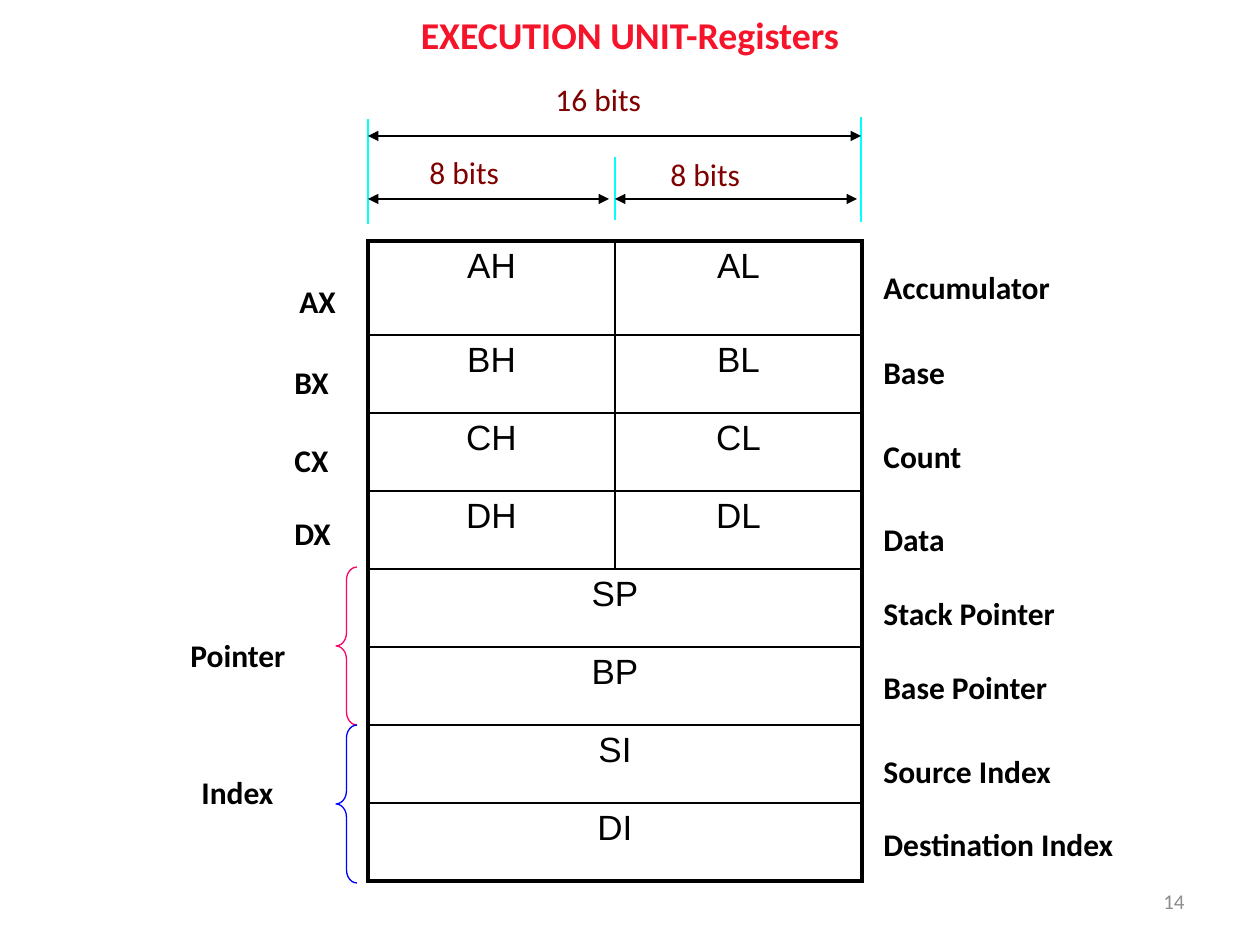
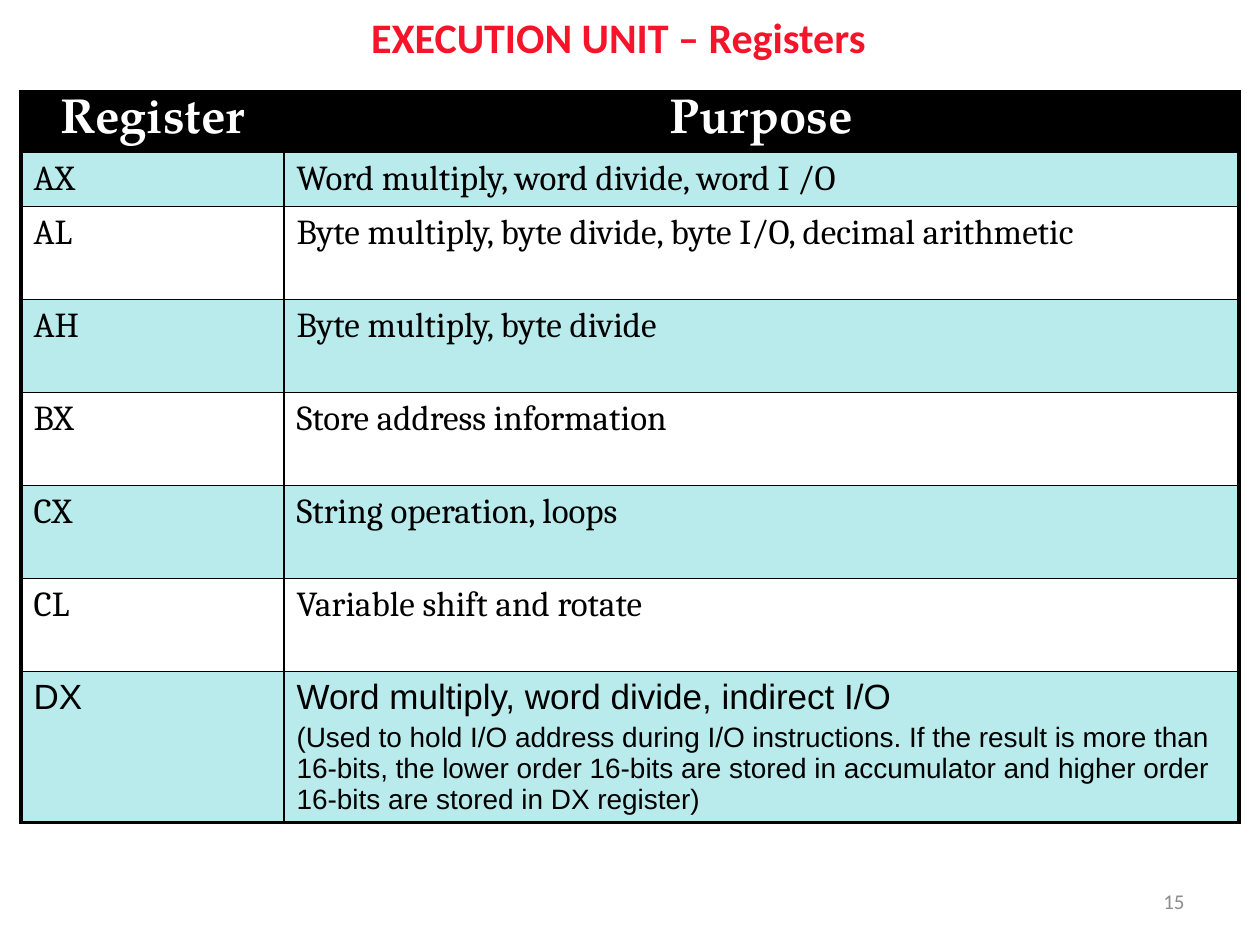
from dataclasses import dataclass

from lxml import etree
from pptx import Presentation
from pptx.dml.color import RGBColor
from pptx.enum.shapes import MSO_CONNECTOR, MSO_SHAPE
from pptx.enum.text import MSO_ANCHOR, PP_ALIGN
from pptx.oxml.ns import qn
from pptx.util import Emu, Pt

EMU_PER_PX = 914400 / 126
TITLE_ONLY = 5
LEFT, CENTER, RIGHT = PP_ALIGN.LEFT, PP_ALIGN.CENTER, PP_ALIGN.RIGHT
TOP, MIDDLE = MSO_ANCHOR.TOP, MSO_ANCHOR.MIDDLE
STRAIGHT = MSO_CONNECTOR.STRAIGHT
LEFT_BRACE = MSO_SHAPE.LEFT_BRACE


@dataclass(frozen=True)
class TextStyle:
    font: str
    size: float
    color: str = "000000"
    bold: bool = False


@dataclass(frozen=True)
class Theme:
    black: str = "000000"
    white: str = "FFFFFF"
    band: str = "B9EBED"
    guide: str = "00FFFF"
    pointer: str = "FF0066"
    index: str = "0000FF"
    title_shadow: str = "EEECE1"
    line: float = 0.75
    inner_border: float = 1
    outer_border: float = 2.25
    diagram_title: TextStyle = TextStyle("Calibri", 21.6, "F6142A", True)
    table_title: TextStyle = TextStyle("Calibri", 24, "F6142A", True)
    label: TextStyle = TextStyle("Calibri", 18, bold=True)
    bits: TextStyle = TextStyle("Calibri", 18, "800000")
    number: TextStyle = TextStyle("Calibri", 12, "8C8C8C")
    register: TextStyle = TextStyle("Arial", 20)
    header: TextStyle = TextStyle("TeX Gyre Pagella", 28, "FFFFFF", True)
    body: TextStyle = TextStyle("Cambria", 20)
    note: TextStyle = TextStyle("Arial", 16)


THEME = Theme()

REGISTER_ROWS = [("AH", "AL"), ("BH", "BL"), ("CH", "CL"), ("DH", "DL"),
                 ("SP",), ("BP",), ("SI",), ("DI",)]
GROUP_LABELS = [("AX", 287, 276), ("BX", 282, 357), ("CX", 282, 435), ("DX", 282, 508),
                ("Pointer", 178, 630), ("Index", 189, 767)]
REGISTER_NAMES = [("Accumulator", 262), ("Base", 347), ("Count", 431), ("Data", 514),
                  ("Stack Pointer", 588), ("Base Pointer", 662),
                  ("Source Index", 746), ("Destination Index", 819)]
BIT_WIDTHS = [("16 bits", 543, 74), ("8 bits", 417, 147), ("8 bits", 658, 149)]
GUIDES = [(368, 119, 224), (615, 157, 220), (861, 117, 222)]
SPANS = [(368, 861, 136), (368, 609, 199), (615, 857, 199)]

PURPOSES = [
    ("AX", "Word multiply, word divide, word I /O"),
    ("AL", "Byte multiply, byte divide, byte I/O, decimal arithmetic"),
    ("AH", "Byte multiply, byte divide"),
    ("BX", "Store address information"),
    ("CX", "String operation, loops"),
    ("CL", "Variable shift and rotate"),
    ("DX", "Word multiply, word divide, indirect I/O"),
]
DX_NOTE = ("(Used to hold I/O address during I/O instructions. If the result is more than "
           "16-bits, the lower order 16-bits are stored in accumulator and higher order "
           "16-bits are stored in DX register)")


def px(length):
    return Emu(round(length * EMU_PER_PX))


def rgb(color):
    return RGBColor.from_string(color)


def style_paragraph(paragraph, text, style, align=LEFT):
    paragraph.text = text
    paragraph.alignment = align
    font = paragraph.font
    font.name, font.size, font.bold = style.font, Pt(style.size), style.bold
    font.color.rgb = rgb(style.color)


def add_title(slide, text, style, left, top, width, height):
    title = slide.shapes.title
    title.left, title.top, title.width, title.height = map(px, (left, top, width, height))
    title.text_frame.vertical_anchor = MIDDLE
    paragraph = title.text_frame.paragraphs[0]
    style_paragraph(paragraph, text, style, CENTER)
    add_text_shadow(paragraph.runs[0])


def add_text_shadow(run):
    effects = etree.SubElement(run.font._element, qn("a:effectLst"))
    shadow = etree.SubElement(effects, qn("a:outerShdw"), dist="38100", dir="2700000")
    etree.SubElement(shadow, qn("a:srgbClr"), val=THEME.title_shadow)


def add_label(slide, text, style, left, top, width, height=50, align=LEFT, anchor=TOP):
    box = slide.shapes.add_textbox(px(left), px(top), px(width), px(height))
    box.text_frame.word_wrap = True
    box.text_frame.vertical_anchor = anchor
    style_paragraph(box.text_frame.paragraphs[0], text, style, align)


def add_slide_number(slide, number):
    add_label(slide, str(number), THEME.number, 903, 876, 294, align=RIGHT, anchor=MIDDLE)


def add_line(slide, start, end, color, arrows=False):
    connector = slide.shapes.add_connector(STRAIGHT, *map(px, (*start, *end)))
    connector.line.color.rgb = rgb(color)
    connector.line.width = Pt(THEME.line)
    properties = connector.element.spPr
    if arrows:
        line = properties.find(qn("a:ln"))
        for tag in ("a:headEnd", "a:tailEnd"):
            etree.SubElement(line, qn(tag), type="triangle")
    etree.SubElement(properties, qn("a:effectLst"))


def add_brace(slide, top, color):
    brace = slide.shapes.add_shape(LEFT_BRACE, px(336), px(top), px(21), px(158))
    brace.adjustments[0] = 0.625
    brace.shadow.inherit = False
    brace.fill.background()
    brace.line.color.rgb = rgb(color)
    brace.line.width = Pt(THEME.line)


def add_grid(slide, left, top, widths, heights):
    """Add a table without style banding and return it."""
    frame = slide.shapes.add_table(len(heights), len(widths), px(left), px(top),
                                   px(sum(widths)), px(sum(heights)))
    table = frame.table
    table.first_row = table.horz_banding = False
    for column, width in zip(table.columns, widths):
        column.width = px(width)
    for row, height in zip(table.rows, heights):
        row.height = px(height)
    return table


def add_border(cell, side, width):
    line = etree.SubElement(cell._tc.get_or_add_tcPr(), qn(f"a:ln{side}"), w=str(Pt(width)))
    fill = etree.SubElement(line, qn("a:solidFill"))
    etree.SubElement(fill, qn("a:srgbClr"), val=THEME.black)


def finish_grid(table, row_fills):
    """Draw a heavy outline and thin inner borders, then fill each row."""
    last_row, last_column = len(table.rows) - 1, len(table.columns) - 1
    for row, fill in enumerate(row_fills):
        for column in range(last_column + 1):
            cell = table.cell(row, column)
            right_column = column + (cell.span_width - 1 if cell.is_merge_origin else 0)
            outer_sides = {"L": column == 0, "R": right_column == last_column,
                           "T": row == 0, "B": row == last_row}
            for side, outer in outer_sides.items():
                if not (cell.is_spanned and side == "L"):
                    add_border(cell, side, THEME.outer_border if outer else THEME.inner_border)
            cell.fill.solid()
            cell.fill.fore_color.rgb = rgb(fill)


def fill_row(table, row, texts, style, align=LEFT):
    for column, text in enumerate(texts):
        paragraph = table.cell(row, column).text_frame.paragraphs[0]
        style_paragraph(paragraph, text, style, align)


def build_register_diagram(slide):
    add_title(slide, "EXECUTION UNIT-Registers", THEME.diagram_title, 0, 8, 1260, 53)
    table = add_grid(slide, 368, 241, [247] * 2, [94] + [78] * 7)
    for row, names in enumerate(REGISTER_ROWS):
        if len(names) == 1:
            table.cell(row, 0).merge(table.cell(row, 1))
        fill_row(table, row, names, THEME.register, CENTER)
    finish_grid(table, [THEME.white] * len(REGISTER_ROWS))

    add_brace(slide, 567, THEME.pointer)
    add_brace(slide, 725, THEME.index)
    for x, top, bottom in GUIDES:
        add_line(slide, (x, top), (x, bottom), THEME.guide)
    for start, end, y in SPANS:
        add_line(slide, (start, y), (end, y), THEME.black, arrows=True)
    for text, left, top in BIT_WIDTHS:
        add_label(slide, text, THEME.bits, left, top, 150)
    for text, left, top in GROUP_LABELS:
        add_label(slide, text, THEME.label, left, top, 84 if len(text) == 2 else 147)
    for text, top in REGISTER_NAMES:
        add_label(slide, text, THEME.label, 871, top, 336)


def build_purpose_table(slide):
    add_title(slide, "EXECUTION UNIT – Registers", THEME.table_title, 15, 5, 1207, 64)
    table = add_grid(slide, 21, 92, [263, 955], [60, 54] + [93] * 5 + [151])
    fill_row(table, 0, ("Register", "Purpose"), THEME.header, CENTER)
    for row, texts in enumerate(PURPOSES, start=1):
        style = THEME.register if texts[0] == "DX" else THEME.body
        fill_row(table, row, texts, style)
    note = table.cell(len(PURPOSES), 1).text_frame.add_paragraph()
    style_paragraph(note, DX_NOTE, THEME.note)
    note.space_before = Pt(3)
    bands = [THEME.white if row % 2 else THEME.band for row in range(len(PURPOSES))]
    finish_grid(table, [THEME.black] + bands)


def main():
    presentation = Presentation()
    presentation.slide_width, presentation.slide_height = px(1260), px(945)
    builders = (build_register_diagram, build_purpose_table)
    for number, build in enumerate(builders, start=14):
        slide = presentation.slides.add_slide(presentation.slide_layouts[TITLE_ONLY])
        build(slide)
        add_slide_number(slide, number)
    presentation.save("out.pptx")


if __name__ == "__main__":
    main()
